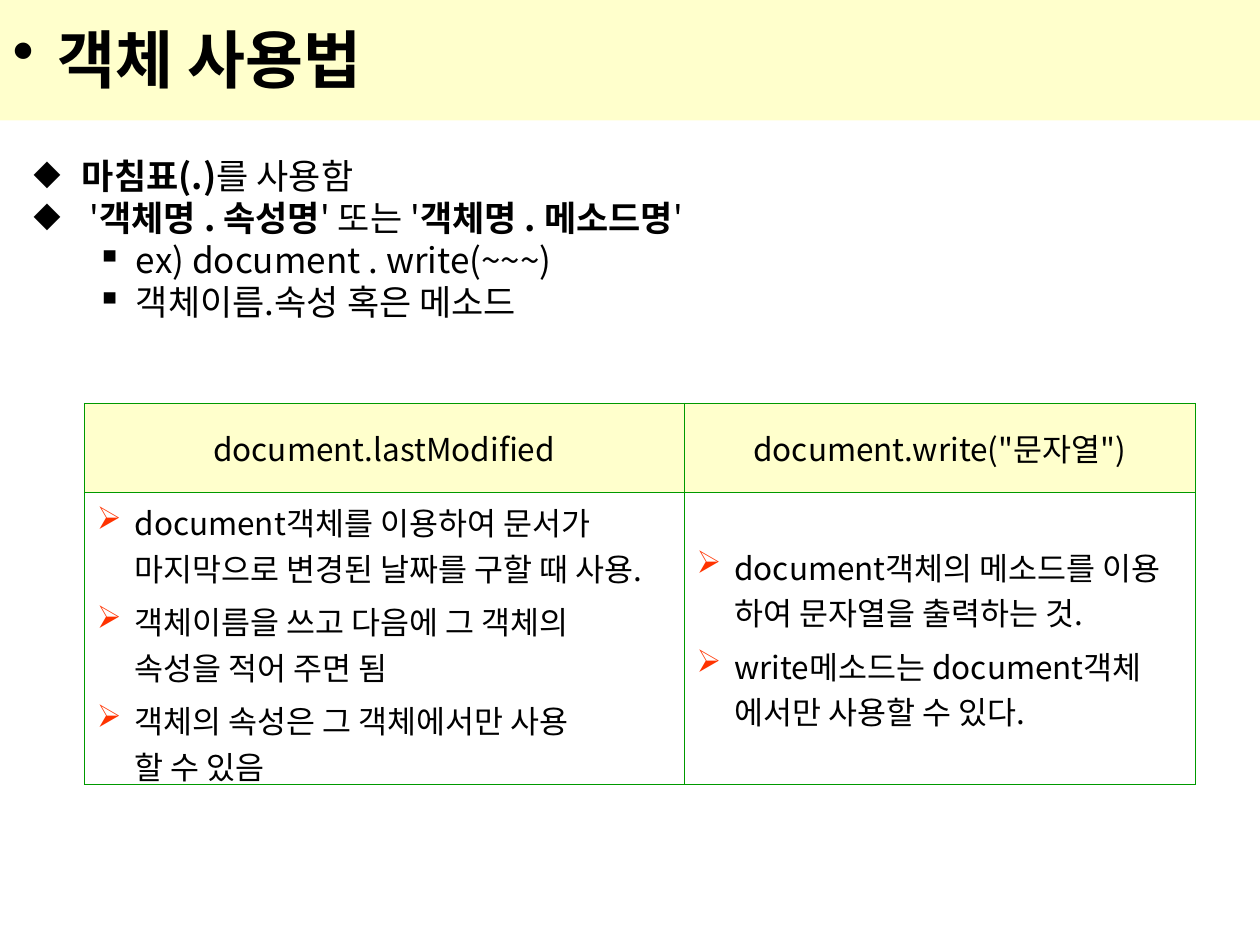
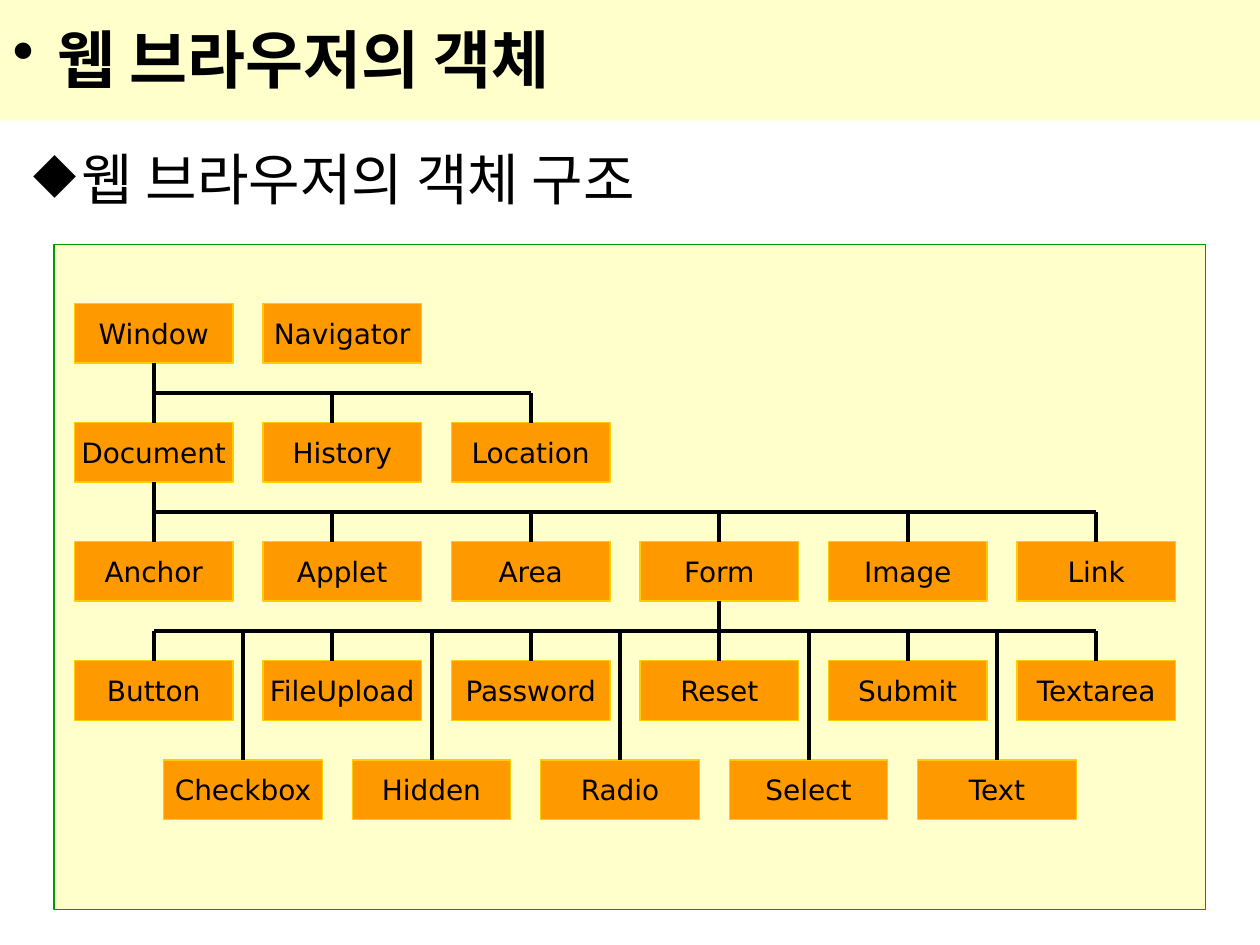
from dataclasses import dataclass

from lxml.etree import SubElement
from pptx import Presentation
from pptx.dml.color import RGBColor
from pptx.enum.shapes import MSO_CONNECTOR, MSO_SHAPE
from pptx.enum.text import MSO_ANCHOR, MSO_AUTO_SIZE, PP_ALIGN
from pptx.oxml.ns import qn
from pptx.util import Cm, Pt


@dataclass(frozen=True)
class Theme:
    ink: str = "000000"
    cream: str = "FFFFCC"
    green: str = "009900"
    orange: str = "FF9900"
    gold: str = "FFCC00"
    red: str = "FF3300"
    white: str = "FFFFFF"
    korean_font: str = "Noto Sans CJK KR"
    node_font: str = "DejaVu Sans"
    title_size: int = 36
    heading_size: int = 32
    body_size: int = 20
    table_size: int = 18
    node_size: int = 16


THEME = Theme()

# Object tree grid, in centimetres
NODE_WIDTH, NODE_HEIGHT = 3.2, 1.2
TREE_LEFT, TREE_TOP = 1.5, 6.12
COLUMN_STEP, ROW_STEP = 3.8, 2.4
STAGGER_LEFT, STAGGER_TOP = 3.3, 15.32
SECOND_DROP = 6.7  # the drops of the second column stand left of its centre


def color(value):
    return RGBColor.from_string(value)


def style_span(span, size, bold=False, font=THEME.korean_font):
    span.font.size = Pt(size)
    span.font.bold = bold
    span.font.color.rgb = color(THEME.ink)
    span.font.name = font
    SubElement(span._r.get_or_add_rPr(), qn("a:ea"), typeface=font)


def style_paragraph(para, size, bold=False, font=THEME.korean_font):
    for span in para.runs:
        style_span(span, size, bold, font)


def add_bullet(para, symbol, indent, hanging, tint=THEME.ink):
    properties = para._p.get_or_add_pPr()
    properties.set("marL", str(Cm(indent)))
    properties.set("indent", str(-Cm(hanging)))
    bullet_color = SubElement(properties, qn("a:buClr"))
    SubElement(bullet_color, qn("a:srgbClr"), val=tint)
    SubElement(properties, qn("a:buChar"), char=symbol)


def add_page(deck, title):
    """Slide with the cream title band."""
    page = deck.slides.add_slide(deck.slide_layouts[5])
    page.background.fill.solid()
    page.background.fill.fore_color.rgb = color(THEME.white)
    band = page.shapes.title
    band.left, band.top, band.width, band.height = Cm(0), Cm(-0.08), Cm(25.4), Cm(2.51)
    band.fill.solid()
    band.fill.fore_color.rgb = color(THEME.cream)
    frame = band.text_frame
    frame.text = title
    frame.auto_size = MSO_AUTO_SIZE.NONE
    frame.vertical_anchor = MSO_ANCHOR.MIDDLE
    para = frame.paragraphs[0]
    para.alignment = PP_ALIGN.LEFT
    add_bullet(para, "•", 0.9, 0.9)
    style_paragraph(para, THEME.title_size, bold=True)
    return page


def add_body(page, top, size, lines):
    """Bulleted text; each line is a level and its (text, bold) pieces."""
    box = page.shapes.add_textbox(Cm(0.43), Cm(top), Cm(24.56), Cm(15.04))
    frame = box.text_frame
    frame.word_wrap = True
    frame.margin_top = 0
    bullets = [("◆", 0.97, 0.97), ("▪", 2.06, 0.79)]
    for index, (level, pieces) in enumerate(lines):
        para = frame.add_paragraph() if index else frame.paragraphs[0]
        para.level = level
        add_bullet(para, *bullets[level])
        for text, bold in pieces:
            span = para.add_run()
            span.text = text
            style_span(span, size, bold)


def add_cell_borders(cell):
    properties = cell._tc.get_or_add_tcPr()
    for index, side in enumerate(("lnL", "lnR", "lnT", "lnB")):
        border = properties.makeelement(qn(f"a:{side}"), {"w": str(Pt(0.45))})
        fill = SubElement(border, qn("a:solidFill"))
        SubElement(fill, qn("a:srgbClr"), val=THEME.green)
        properties.insert(index, border)


def fill_cell(cell, texts, background, header=False):
    cell.fill.solid()
    cell.fill.fore_color.rgb = color(background)
    cell.vertical_anchor = MSO_ANCHOR.MIDDLE
    add_cell_borders(cell)
    frame = cell.text_frame
    for index, text in enumerate(texts):
        para = frame.add_paragraph() if index else frame.paragraphs[0]
        para.text = text
        if index:
            para.space_before = Pt(4.5)
        if header:
            para.alignment = PP_ALIGN.CENTER
        else:
            add_bullet(para, "➢", 0.76, 0.76, THEME.red)
        style_paragraph(para, THEME.table_size)


def add_usage_table(page, headers, notes):
    frame = page.shapes.add_table(2, 2, Cm(1.7), Cm(8.13), Cm(22.4), Cm(7.69))
    table = frame.table
    for column, width in zip(table.columns, (12.09, 10.31)):
        column.width = Cm(width)
    for row, height in zip(table.rows, (1.8, 5.89)):
        row.height = Cm(height)
    for index, (header, texts) in enumerate(zip(headers, notes)):
        fill_cell(table.cell(0, index), [header], THEME.cream, header=True)
        fill_cell(table.cell(1, index), texts, THEME.white)


def add_box(page, left, top, width, height, fill, line):
    box = page.shapes.add_shape(MSO_SHAPE.RECTANGLE, Cm(left), Cm(top), Cm(width), Cm(height))
    box.shadow.inherit = False
    box.fill.solid()
    box.fill.fore_color.rgb = color(fill)
    box.line.color.rgb = color(line)
    box.line.width = Pt(0.75)
    return box


def add_node(page, name, left, top):
    box = add_box(page, left, top, NODE_WIDTH, NODE_HEIGHT, THEME.orange, THEME.gold)
    frame = box.text_frame
    frame.text = name
    frame.word_wrap = False
    frame.vertical_anchor = MSO_ANCHOR.MIDDLE
    frame.paragraphs[0].alignment = PP_ALIGN.CENTER
    style_paragraph(frame.paragraphs[0], THEME.node_size, font=THEME.node_font)
    return box


def add_row(page, names, left, top):
    return [add_node(page, name, left + index * COLUMN_STEP, top)
            for index, name in enumerate(names)]


def middle(box):
    return box.left + box.width // 2


def add_line(page, start_x, start_y, end_x, end_y):
    line = page.shapes.add_connector(MSO_CONNECTOR.STRAIGHT, start_x, start_y, end_x, end_y)
    line.line.color.rgb = color(THEME.ink)
    line.line.width = Pt(2.25)
    SubElement(line._element.spPr, qn("a:effectLst"))
    return line


def add_drop(page, bus, child):
    add_line(page, middle(child), bus, middle(child), child.top).end_connect(child, 0)


def add_branch(page, parent, children):
    """Join a parent to the row below it; return the height of the bus."""
    bottom = parent.top + parent.height
    bus = (bottom + children[0].top) // 2
    add_line(page, middle(children[0]), bus, middle(children[-1]), bus)
    for index, child in enumerate(children):
        if child.left == parent.left:
            trunk = add_line(page, middle(parent), bottom, middle(child), child.top)
            trunk.begin_connect(parent, 2)
            trunk.end_connect(child, 0)
        elif index == 1:
            add_line(page, Cm(SECOND_DROP), bus, Cm(SECOND_DROP), child.top)
        else:
            add_drop(page, bus, child)
    return bus


def add_object_tree(page):
    rows = [
        ["Window", "Navigator"],
        ["Document", "History", "Location"],
        ["Anchor", "Applet", "Area", "Form", "Image", "Link"],
        ["Button", "FileUpload", "Password", "Reset", "Submit", "Textarea"],
    ]
    top_row, window_row, document_row, form_row = [
        add_row(page, names, TREE_LEFT, TREE_TOP + index * ROW_STEP)
        for index, names in enumerate(rows)]
    staggered = add_row(page, ["Checkbox", "Hidden", "Radio", "Select", "Text"],
                        STAGGER_LEFT, STAGGER_TOP)
    add_branch(page, top_row[0], window_row)
    add_branch(page, window_row[0], document_row)
    form_bus = add_branch(page, document_row[3], form_row)
    for child in staggered:
        add_drop(page, form_bus, child)


def main():
    deck = Presentation()
    deck.slide_width, deck.slide_height = Cm(25.4), Cm(19.05)

    # How objects are used
    page = add_page(deck, "객체 사용법")
    add_body(page, 3.12, THEME.body_size, [
        (0, [("마침표(.)", True), ("를 사용함", False)]),
        (0, [(" '", False), ("객체명 . 속성명", True), ("' 또는 '", False),
             ("객체명 . 메소드명", True), ("'", False)]),
        (1, [("ex) document . write(~~~)", False)]),
        (1, [("객체이름.속성 혹은 메소드", False)]),
    ])
    add_usage_table(page, ["document.lastModified", 'document.write("문자열")'], [
        ["document객체를 이용하여 문서가 마지막으로 변경된 날짜를 구할 때 사용.",
         "객체이름을 쓰고 다음에 그 객체의\v속성을 적어 주면 됨",
         "객체의 속성은 그 객체에서만 사용\v할 수 있음"],
        ["document객체의 메소드를 이용\v하여 문자열을 출력하는 것.",
         "write메소드는 document객체\v에서만 사용할 수 있다."],
    ])

    # Browser object tree
    page = add_page(deck, "웹 브라우저의 객체")
    add_body(page, 2.92, THEME.heading_size, [(0, [("웹 브라우저의 객체 구조", False)])])
    add_box(page, 1.09, 4.93, 23.22, 13.41, THEME.cream, THEME.green)
    add_object_tree(page)

    deck.save("out.pptx")


if __name__ == "__main__":
    main()
